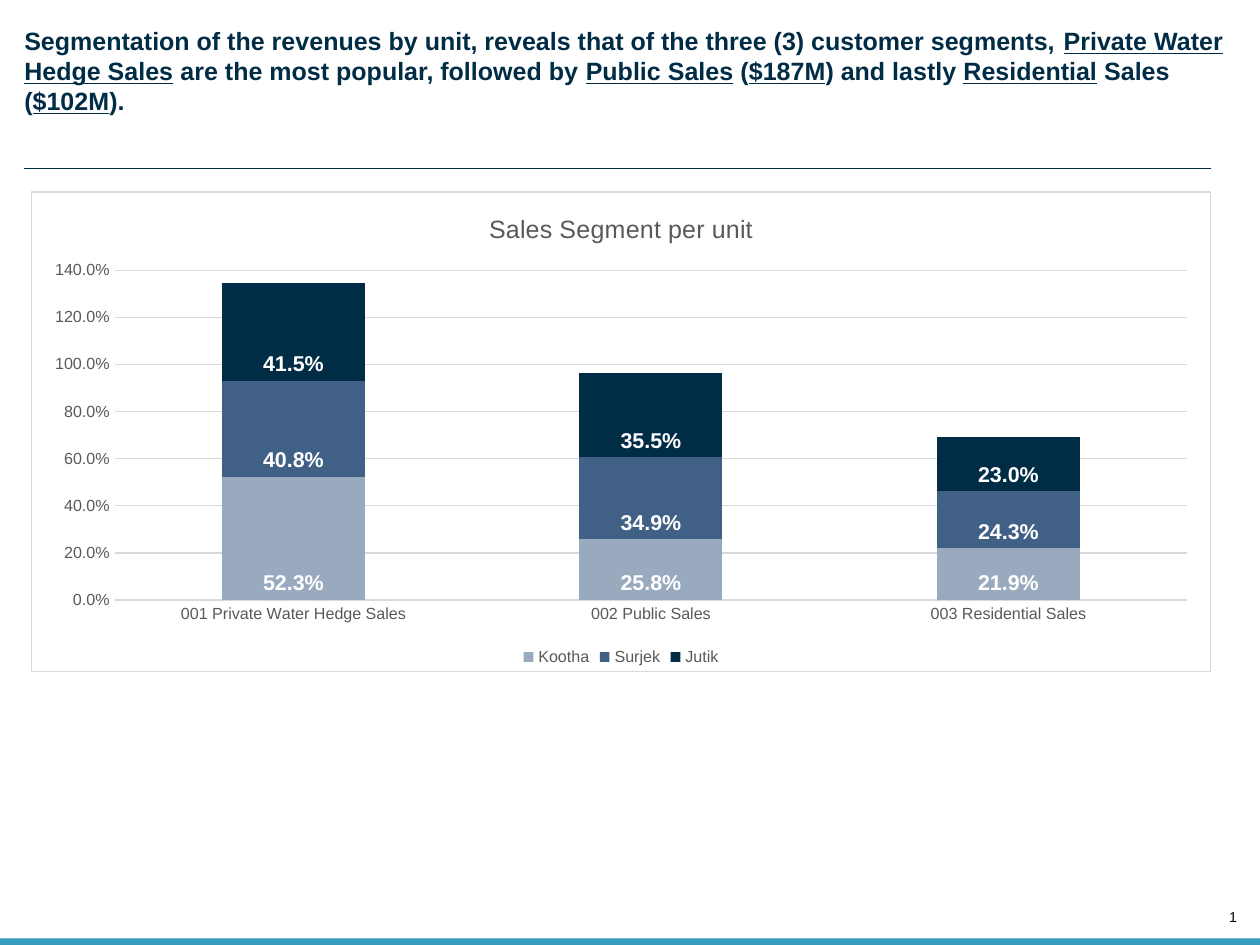
from lxml import etree
from pptx import Presentation
from pptx.chart.data import CategoryChartData
from pptx.dml.color import RGBColor
from pptx.enum.chart import (XL_CHART_TYPE as ChartType, XL_LABEL_POSITION as LabelPos,
                             XL_LEGEND_POSITION as LegendPos, XL_TICK_MARK as Tick)
from pptx.enum.shapes import MSO_CONNECTOR as Connector, MSO_SHAPE as Shape
from pptx.enum.text import MSO_ANCHOR as Anchor, MSO_AUTO_SIZE as AutoSize, PP_ALIGN as Align
from pptx.oxml import parse_xml
from pptx.oxml.ns import nsdecls, qn
from pptx.util import Cm, Pt

NAVY, SLATE, MIST, TEAL = "002C46", "406085", "99AABE", "379BBD"
GREY, RULE, WHITE, BLACK = "595959", "D9D9D9", "FFFFFF", "000000"


def rgb(value):
    return RGBColor.from_string(value)


class SlideBuilder:
    font = "Arial"

    def __init__(self, prs):
        self.s = prs.slides.add_slide(prs.slide_layouts[5])

    def style(self, font, size, color, bold=False):
        font.name, font.size, font.bold = self.font, Pt(size), bold
        font.color.rgb = rgb(color)

    def frame(self, tf, anchor):
        tf.margin_left = tf.margin_right = tf.margin_top = tf.margin_bottom = 0
        tf.vertical_anchor = anchor
        tf.auto_size = AutoSize.SHAPE_TO_FIT_TEXT

    def title(self, parts, x, y, w, h):
        """Write parts as runs; every second one is underlined."""
        sp = self.s.shapes.title
        sp.left, sp.top, sp.width, sp.height = Cm(x), Cm(y), Cm(w), Cm(h)
        tf = sp.text_frame
        self.frame(tf, Anchor.TOP)
        tf.word_wrap = True
        p = tf.paragraphs[0]
        p.alignment = Align.LEFT
        for i, part in enumerate(parts):
            r = p.add_run()
            r.text = part
            self.style(r.font, 14, NAVY, bold=True)
            r.font.underline = i % 2 == 1

    def text(self, text, x, y, w, h, size):
        tf = self.s.shapes.add_textbox(Cm(x), Cm(y), Cm(w), Cm(h)).text_frame
        self.frame(tf, Anchor.BOTTOM)
        tf.word_wrap = False
        p = tf.paragraphs[0]
        p.text = text
        p.alignment = Align.RIGHT
        self.style(p.runs[0].font, size, BLACK)

    def bar(self, x, y, w, h, color):
        sp = self.s.shapes.add_shape(Shape.RECTANGLE, Cm(x), Cm(y), Cm(w), Cm(h))
        sp.shadow.inherit = False
        sp.fill.solid()
        sp.fill.fore_color.rgb = rgb(color)
        sp.line.fill.background()

    def line(self, x1, y1, x2, y2, color):
        ln = self.s.shapes.add_connector(Connector.STRAIGHT, Cm(x1), Cm(y1), Cm(x2), Cm(y2))
        self.outline(ln.line, color)
        etree.SubElement(ln._element.spPr, qn("a:effectLst"))

    def outline(self, line, color):
        line.color.rgb = rgb(color)
        line.width = Pt(0.75)

    def stacked_chart(self, title, cats, series, x, y, w, h):
        data = CategoryChartData(number_format="0.0%")
        data.categories = cats
        for name, values, _ in series:
            data.add_series(name, values)
        chart = self.s.shapes.add_chart(
            ChartType.COLUMN_STACKED, Cm(x), Cm(y), Cm(w), Cm(h), data).chart
        self.style(chart.font, 10, BLACK)

        # Chart area: white with a thin border
        chart._chartSpace.find(qn("c:chart")).addnext(parse_xml(
            f'<c:spPr {nsdecls("c", "a")}>'
            f'<a:solidFill><a:srgbClr val="{WHITE}"/></a:solidFill>'
            f'<a:ln w="{Pt(0.75)}"><a:solidFill><a:srgbClr val="{RULE}"/></a:solidFill></a:ln>'
            '</c:spPr>'))

        # Title and legend
        tf = chart.chart_title.text_frame
        tf.text = title
        self.style(tf.paragraphs[0].runs[0].font, 14, GREY)
        chart.chart_title.include_in_layout = False
        chart.has_legend = True
        chart.legend.position = LegendPos.BOTTOM
        chart.legend.include_in_layout = False
        self.style(chart.legend.font, 9, GREY)

        # Axes
        for axis in (chart.category_axis, chart.value_axis):
            axis.major_tick_mark = axis.minor_tick_mark = Tick.NONE
            self.style(axis.tick_labels.font, 9, GREY)
        self.outline(chart.category_axis.format.line, RULE)
        axis = chart.value_axis
        axis.minimum_scale, axis.maximum_scale, axis.major_unit = 0, 1.4, 0.2
        axis.format.line.fill.background()
        self.outline(axis.major_gridlines.format.line, RULE)
        axis.tick_labels.number_format = "0.0%"
        axis.tick_labels.number_format_is_linked = False

        # Columns and their labels
        plot = chart.plots[0]
        plot.gap_width, plot.overlap, plot.vary_by_categories = 150, 100, False
        for ser, (_, _, color) in zip(plot.series, series):
            ser.format.fill.solid()
            ser.format.fill.fore_color.rgb = rgb(color)
            labels = ser.data_labels
            labels.show_value = True
            labels.position = LabelPos.INSIDE_BASE
            labels.number_format = "0.0%"
            labels.number_format_is_linked = False
            self.style(labels.font, 12, WHITE, bold=True)


def main():
    prs = Presentation()
    prs.slide_width, prs.slide_height = Cm(24.89), Cm(18.67)
    slide = SlideBuilder(prs)

    # Footer
    slide.text("1", 24.08, 17.96, 0.36, 0.33, 8)
    slide.bar(0, 18.54, 24.89, 0.13, TEAL)

    # Headline and rule
    slide.title([
        "Segmentation of the revenues by unit, reveals that of the three (3) customer segments, ",
        "Private Water Hedge Sales", " are the most popular, followed by ",
        "Public Sales", " (", "$187M", ") and lastly ",
        "Residential", " Sales (", "$102M", ").",
    ], 0.48, 0.51, 24.28, 1.8)
    slide.line(0.48, 3.33, 23.93, 3.33, NAVY)

    # Sales chart
    slide.stacked_chart(
        "Sales Segment per unit",
        ["001 Private Water Hedge Sales", "002 Public Sales", "003 Residential Sales"],
        [("Kootha", (0.523, 0.258, 0.219), MIST),
         ("Surjek", (0.408, 0.349, 0.243), SLATE),
         ("Jutik", (0.415, 0.355, 0.23), NAVY)],
        0.61, 3.78, 23.32, 9.5)

    prs.save("out.pptx")


if __name__ == "__main__":
    main()
